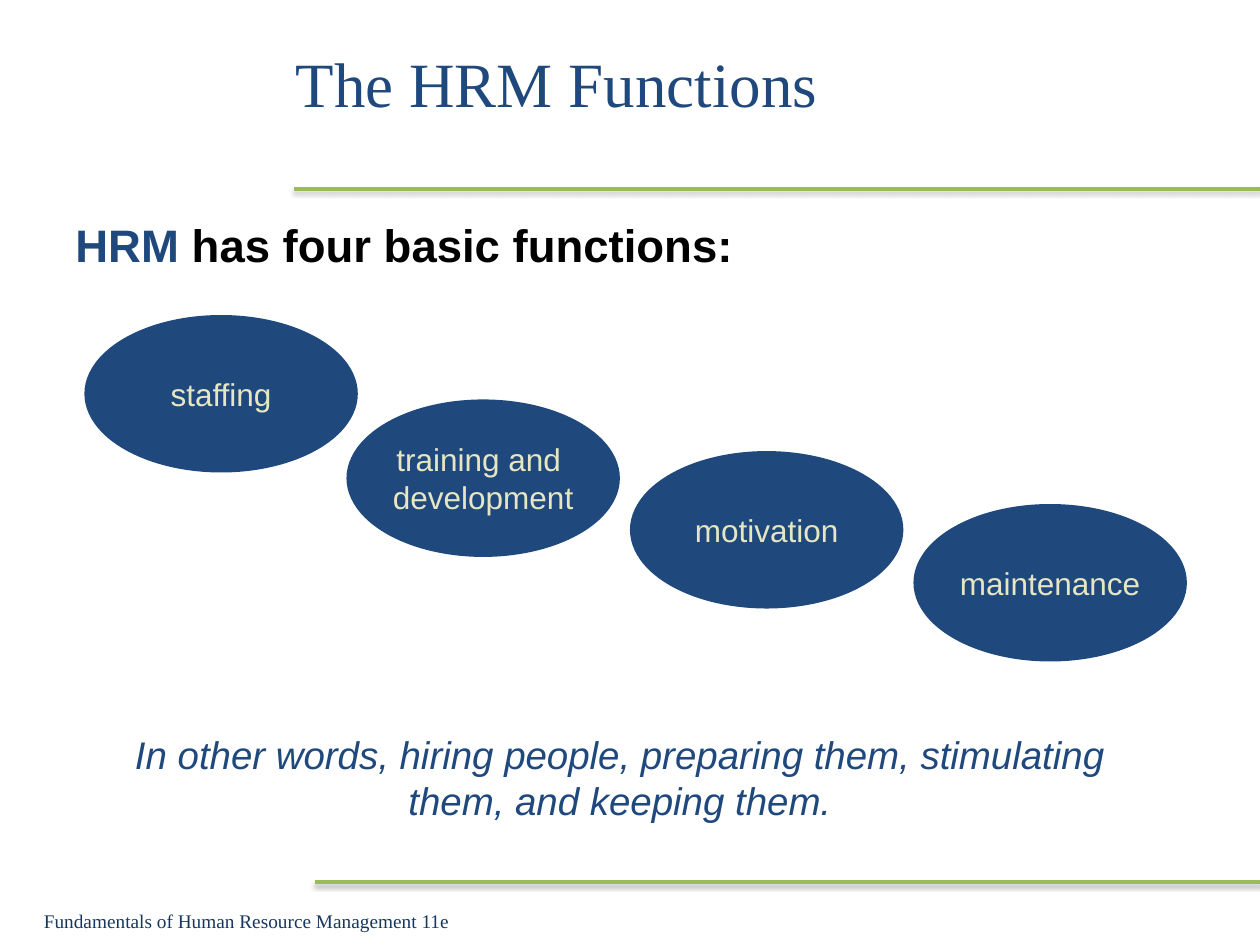
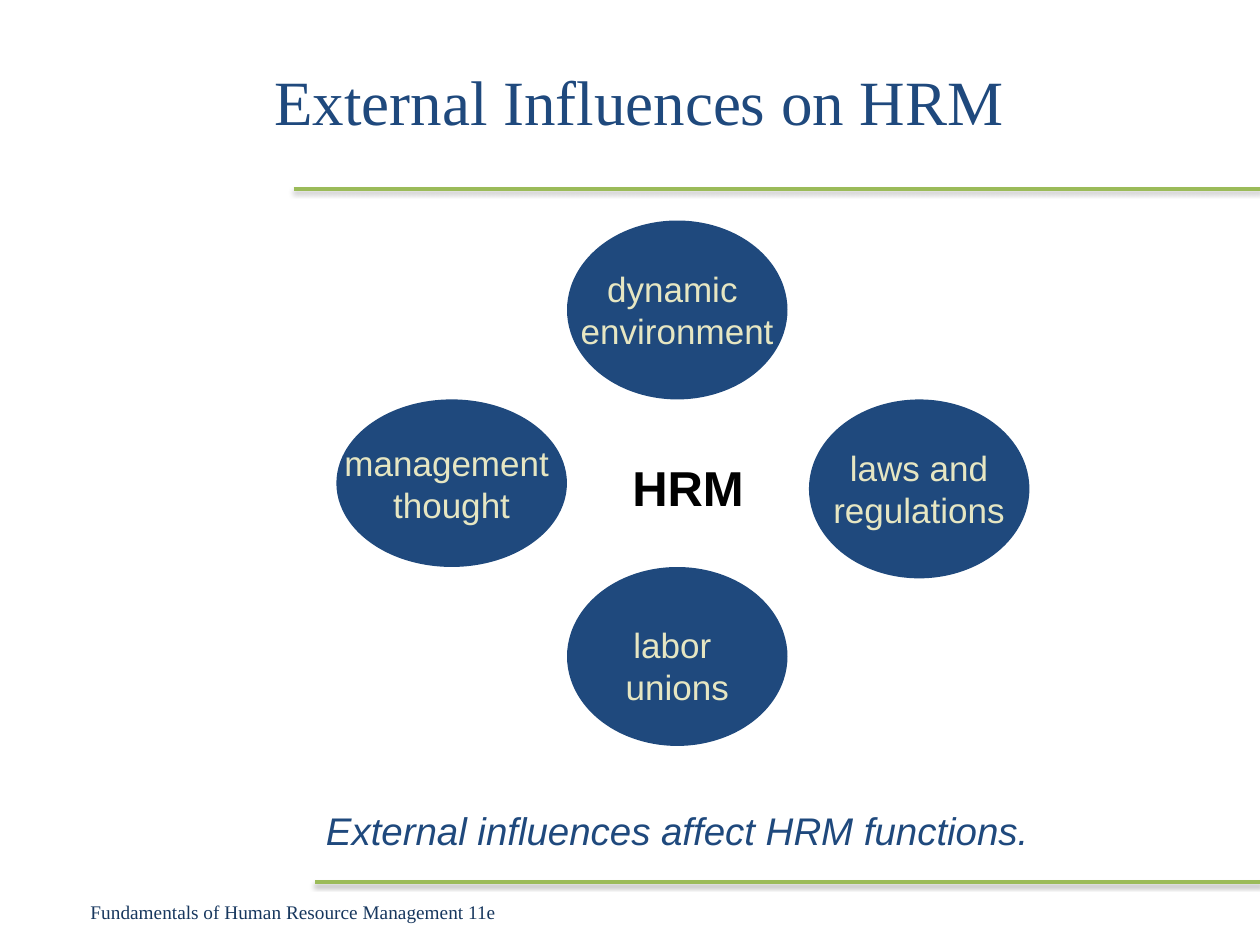
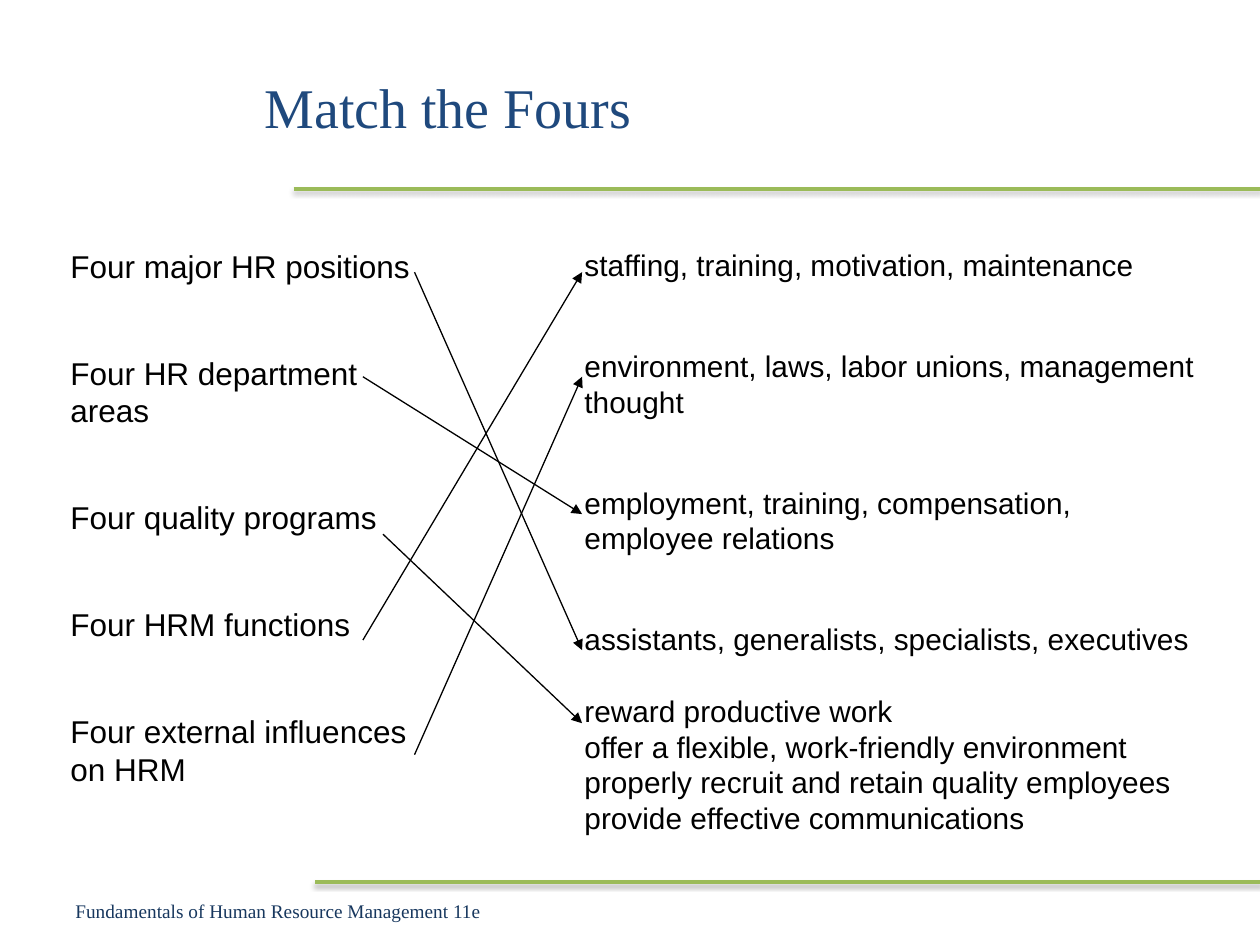
from lxml import etree
from pptx import Presentation
from pptx.dml.color import RGBColor
from pptx.enum.shapes import MSO_CONNECTOR, MSO_SHAPE
from pptx.enum.text import MSO_ANCHOR, PP_ALIGN
from pptx.oxml.ns import qn
from pptx.util import Inches, Pt

STRAIGHT = MSO_CONNECTOR.STRAIGHT
ELLIPSE = MSO_SHAPE.OVAL
TOP, MIDDLE = MSO_ANCHOR.TOP, MSO_ANCHOR.MIDDLE
LEFT, CENTER = PP_ALIGN.LEFT, PP_ALIGN.CENTER

NAVY, DARK_NAVY, GREEN, CREAM, BLACK = "1F497D", "17375E", "9BBB59", "E6E6C2", "000000"
SANS, SERIF = "Arial", "Times New Roman"
FOOTER = "Fundamentals of Human Resource Management 11e"

FORMATS = {
    "title": {"name": SERIF, "size": Pt(36)},
    "footer": {"name": SERIF, "size": Pt(11)},
    "lead": {"name": SANS, "size": Pt(26), "bold": True},
    "hub": {"name": SANS, "size": Pt(28), "bold": True},
    "summary": {"name": SANS, "size": Pt(22), "italic": True},
    "body": {"name": SANS, "size": Pt(18)},
}


def rgb(hex_color):
    """Turn a hex string into a colour."""
    return RGBColor.from_string(hex_color)


class Deck:
    """Holds the shared style and the current slide."""

    def __init__(self):
        """Open an empty 10 by 7.5 inch presentation."""
        self.prs = Presentation()
        self.prs.slide_width, self.prs.slide_height = Inches(10), Inches(7.5)
        self.slide = None

    def new_slide(self, title, title_box, footer_box, title_size=36, title_anchor=TOP):
        """Start a slide with its green rules, title and footer."""
        self.slide = self.prs.slides.add_slide(self.prs.slide_layouts[6])
        for left, y in ((2.33, 1.5), (2.5, 7)):
            self.rule(left, y)
        self.text(title_box, [title], "title", NAVY, anchor=title_anchor, size=title_size)
        self.text(footer_box, [FOOTER], "footer", DARK_NAVY, anchor=MIDDLE)

    def line(self, start, end, color, width):
        """Draw a straight line and return it with its empty effect list."""
        line = self.slide.shapes.add_connector(STRAIGHT, *map(Inches, start + end))
        line.line.color.rgb = rgb(color)
        line.line.width = Pt(width)
        return line, etree.SubElement(line._element.spPr, qn("a:effectLst"))

    def rule(self, left, y):
        """Draw a green rule with a soft shadow to the right edge."""
        effects = self.line((left, y), (10, y), GREEN, 2)[1]
        shadow = etree.SubElement(effects, qn("a:outerShdw"), blurRad=str(Pt(3.1)),
                                  dist=str(Pt(1.6)), dir="5400000", rotWithShape="0")
        color = etree.SubElement(shadow, qn("a:srgbClr"), val=BLACK)
        etree.SubElement(color, qn("a:alpha"), val="38000")

    def arrow(self, start, end):
        """Draw a thin black arrow."""
        line = self.line(start, end, BLACK, 0.75)[0]
        etree.SubElement(line._element.spPr.find(qn("a:ln")), qn("a:tailEnd"), type="triangle")

    def add_runs(self, paragraph, content, style, color, size=None):
        """Fill a paragraph with a string or with (string, colour) pairs."""
        runs = [(content, color)] if isinstance(content, str) else content
        for words, run_color in runs:
            run = paragraph.add_run()
            run.text = words
            for name, value in FORMATS[style].items():
                setattr(run.font, name, value)
            if size:
                run.font.size = Pt(size)
            run.font.color.rgb = rgb(run_color)

    def fill_frame(self, frame, paragraphs, style, color, align, size=None, gaps=()):
        """Add paragraphs, with the given points of space between them."""
        for index, content in enumerate(paragraphs):
            paragraph = frame.add_paragraph() if index else frame.paragraphs[0]
            paragraph.alignment = align
            if index and gaps:
                paragraph.space_before = Pt(gaps[index - 1])
            self.add_runs(paragraph, content, style, color, size)

    def text(self, box, paragraphs, style, color, align=LEFT, anchor=TOP, size=None, gaps=()):
        """Add a wrapping text box."""
        frame = self.slide.shapes.add_textbox(*map(Inches, box)).text_frame
        for name, value in {"word_wrap": True, "vertical_anchor": anchor}.items():
            setattr(frame, name, value)
        self.fill_frame(frame, paragraphs, style, color, align, size, gaps)

    def oval(self, box, lines, size=18, margin_top=0.05):
        """Add a navy oval with centred cream text."""
        oval = self.slide.shapes.add_shape(ELLIPSE, *map(Inches, box))
        oval.shadow.inherit = False
        oval.fill.solid()
        oval.fill.fore_color.rgb = rgb(NAVY)
        oval.line.fill.background()
        frame = oval.text_frame
        settings = {"word_wrap": False, "vertical_anchor": MIDDLE, "margin_top": Inches(margin_top)}
        for name, value in settings.items():
            setattr(frame, name, value)
        self.fill_frame(frame, lines, "body", CREAM, CENTER, size)


def functions_slide(deck):
    """Build the slide on the four functions."""
    deck.new_slide("The HRM Functions", (2.25, 0.3, 7.25, 0.71), (0.25, 7.14, 4, 0.33),
                   title_anchor=MIDDLE)
    deck.text((0.5, 1.67, 8, 0.53), [[("HRM", NAVY), (" has four basic functions:", BLACK)]],
              "lead", BLACK)
    functions = (
        (0.67, 2.5, ["staffing"]),
        (2.75, 3.17, ["training and ", "development"]),
        (5, 3.58, ["motivation"]),
        (7.25, 4, ["maintenance"]),
    )
    for left, top, lines in functions:
        deck.oval((left, top, 2.17, 1.25), lines)
    deck.text((0.67, 5.75, 8.5, 0.83),
              ["In other words, hiring people, preparing them, stimulating them, and keeping them."],
              "summary", NAVY, CENTER)


def influences_slide(deck):
    """Build the slide on the influences around HRM."""
    deck.new_slide("External Influences on HRM", (2.08, 0.45, 8.17, 0.71),
                   (0.62, 7.09, 3.67, 0.3))
    influences = (
        ((2.67, 3.17, 1.83, 1.33), ["management ", "thought"], 0.05),
        ((4.5, 4.5, 1.75, 1.42), ["labor ", "unions"], 0.2),
        ((6.42, 3.17, 1.75, 1.42), ["laws and", "regulations"], 0.05),
        ((4.5, 1.75, 1.75, 1.42), ["dynamic ", "environment"], 0.05),
    )
    for box, lines, margin_top in influences:
        deck.oval(box, lines, 20, margin_top)
    deck.text((4.67, 3.58, 1.58, 0.57), ["HRM"], "hub", BLACK, CENTER)
    deck.text((1.5, 6.36, 7.75, 0.47), ["External influences affect HRM functions."],
              "summary", NAVY, CENTER)


def match_slide(deck):
    """Build the matching exercise with its answer arrows."""
    deck.new_slide("Match the Fours", (2, 0.53, 7.58, 0.64), (0.5, 6.95, 4.04, 0.55),
                   title_size=32)
    topics = [
        "Four major HR positions",
        "Four HR department areas",
        "Four quality programs",
        "Four HRM functions",
        "Four external influences on HRM",
    ]
    answers = [
        "staffing, training, motivation, maintenance",
        "environment, laws, labor unions, management thought",
        "employment, training, compensation, employee relations",
        "assistants, generalists, specialists, executives",
        "reward productive work",
        "offer a flexible, work-friendly environment",
        "properly recruit and retain quality employees",
        "provide effective communications",
    ]
    deck.text((0.46, 1.91, 3.08, 5.06), topics, "body", BLACK, gaps=[39.5] * 4)
    deck.text((4.54, 1.91, 5.08, 4.92), answers, "body", BLACK, size=17,
              gaps=[37.25] * 3 + [20.5] + [0] * 3)
    matches = ((3.29, 2.16, 5.16), (2.88, 2.99, 4.08), (3.04, 4.24, 5.74),
               (2.88, 5.08, 2.16), (3.29, 5.99, 2.99))
    for topic_x, topic_y, answer_y in matches:
        deck.arrow((topic_x, topic_y), (4.62, answer_y))


def main():
    """Build the three slides and save them."""
    deck = Deck()
    functions_slide(deck)
    influences_slide(deck)
    match_slide(deck)
    deck.prs.save("out.pptx")


if __name__ == "__main__":
    main()
